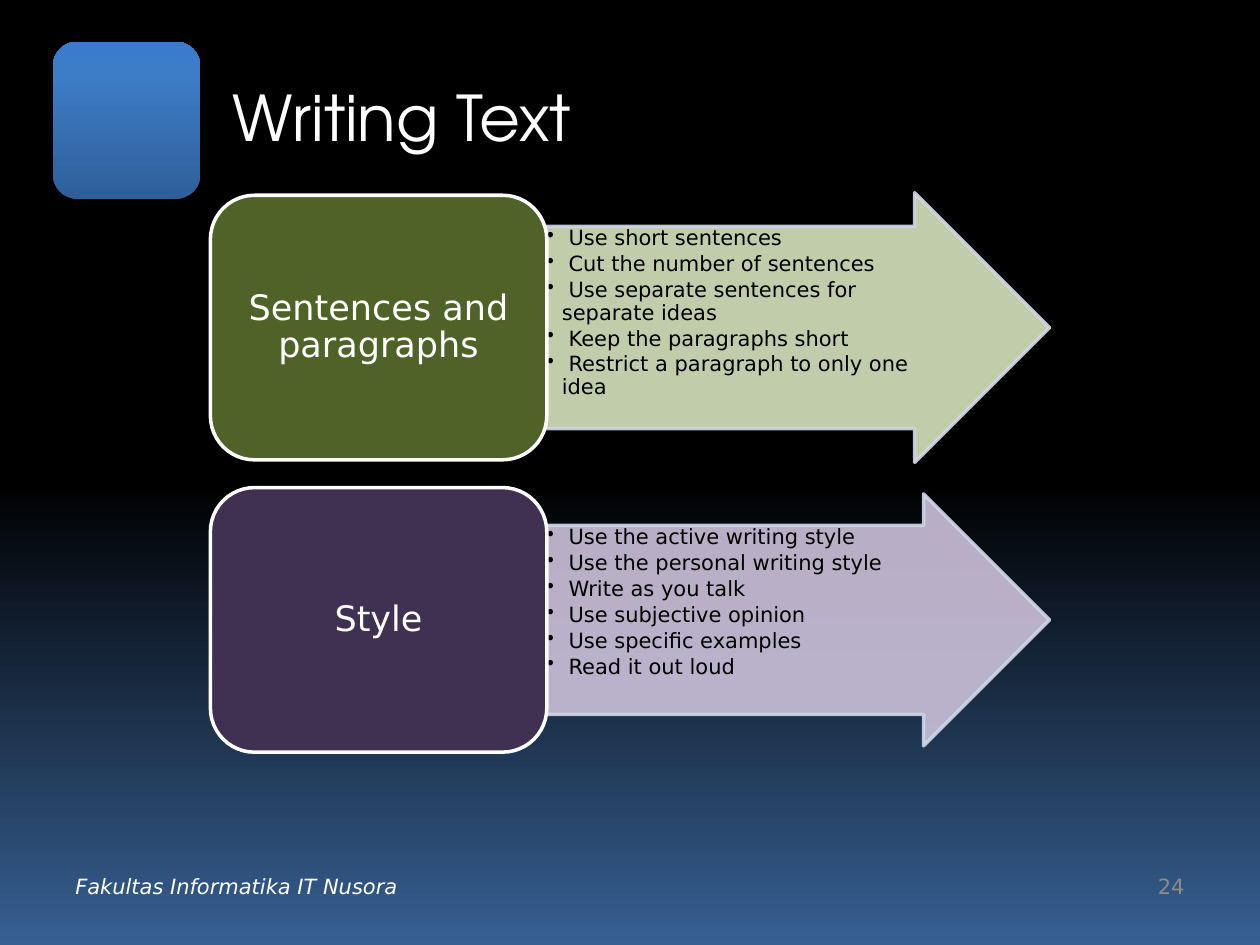
import copy
import pptx
import pptx.dml.color
import pptx.enum.shapes
import pptx.enum.text
import pptx.oxml
import pptx.oxml.ns
import pptx.util
import lxml.etree

Inches = pptx.util.Inches
Pt = pptx.util.Pt
Shape = pptx.enum.shapes.MSO_SHAPE
Align = pptx.enum.text.PP_ALIGN
Anchor = pptx.enum.text.MSO_ANCHOR
qn = pptx.oxml.ns.qn


def paint(color, code):
    color.rgb = pptx.dml.color.RGBColor.from_string(code)


def write(para, text, size, code, face="DejaVu Sans"):
    para.text = text
    para.font.size = Pt(size)
    para.font.name = face
    paint(para.font.color, code)


deck = pptx.Presentation()
deck.slide_width = Inches(10)
deck.slide_height = Inches(7.5)
slide = deck.slides.add_slide(deck.slide_layouts[6])
shapes = slide.shapes

square = shapes.add_shape(
    Shape.ROUNDED_RECTANGLE, Inches(0.42), Inches(0.33), Inches(1.17), Inches(1.25))
square.shadow.inherit = False
square.line.fill.background()

grads = [
    (slide.background.fill, 270, [(0.51, "000000"), (1, "376092")]),
    (square.fill, 90, [(0, "2F5F99"), (0.8, "3D7CC7"), (1, "3A7CCB")]),
]
for fill, angle, stops in grads:
    fill.gradient()
    fill.gradient_angle = angle
    if len(stops) == 3:
        last = square._element.spPr.findall(".//" + qn("a:gs"))[-1]
        last.addnext(copy.deepcopy(last))
    for stop, (place, code) in zip(fill.gradient_stops, stops):
        stop.position = place
        paint(stop.color, code)

labels = [
    ("Writing Text", 1.75, 0.3, 7.75, 1.25, 36, "FFFFFF", "TeX Gyre Adventor", Align.LEFT, False),
    ("Fakultas Informatika IT Nusora", 0.5, 6.83, 3.17, 0.4, 12, "FFFFFF", "DejaVu Sans", Align.LEFT, True),
    ("24", 7.17, 6.83, 2.33, 0.4, 12, "8C8C8C", "DejaVu Sans", Align.RIGHT, False),
]
for text, left, top, width, height, size, code, face, align, slant in labels:
    box = shapes.add_textbox(Inches(left), Inches(top), Inches(width), Inches(height))
    frame = box.text_frame
    frame.word_wrap = True
    frame.vertical_anchor = Anchor.MIDDLE
    para = frame.paragraphs[0]
    write(para, text, size, code, face)
    para.alignment = align
    para.font.italic = slant

topics = [
    ("Sentences and paragraphs", "4F6228", "D7E4BD", 1.55, 2.14, [
        "Use short sentences",
        "Cut the number of sentences",
        "Use separate sentences for separate ideas",
        "Keep the paragraphs short",
        "Restrict a paragraph to only one idea",
    ]),
    ("Style", "403152", "CCC1DA", 3.87, 2, [
        "Use the active writing style",
        "Use the personal writing style",
        "Write as you talk",
        "Use subjective opinion",
        "Use specific examples",
        "Read it out loud",
    ]),
]
tall = 2.1
for name, dark, light, top, height, points in topics:
    arrow = shapes.add_shape(
        Shape.RIGHT_ARROW, Inches(4.33), Inches(top + (tall - height) / 2),
        Inches(4), Inches(height))
    arrow.adjustments[0] = 0.75
    arrow.adjustments[1] = 0.5
    card = shapes.add_shape(
        Shape.ROUNDED_RECTANGLE, Inches(1.67), Inches(top), Inches(2.67), Inches(tall))

    for shape, code, edge in [(arrow, light, "D0D8E8"), (card, dark, "FFFFFF")]:
        shape.shadow.inherit = False
        shape.fill.solid()
        paint(shape.fill.fore_color, code)
        paint(shape.line.color, edge)
        shape.line.width = Pt(2)
        shape.text_frame.word_wrap = True
    for tint in arrow._element.spPr.iter(qn("a:srgbClr")):
        lxml.etree.SubElement(tint, qn("a:alpha")).set("val", "90000")

    frame = card.text_frame
    frame.vertical_anchor = Anchor.MIDDLE
    frame.margin_left = frame.margin_right = Inches(0.08)
    frame.margin_top = frame.margin_bottom = Inches(0.04)
    para = frame.paragraphs[0]
    write(para, name, 20, "FFFFFF")
    para.alignment = Align.CENTER
    para.line_spacing = 0.9

    frame = arrow.text_frame
    frame.vertical_anchor = Anchor.TOP
    frame.margin_left = frame.margin_right = Inches(0.01)
    frame.margin_top = frame.margin_bottom = Inches(0.01)
    for rank, point in enumerate(points):
        para = frame.add_paragraph() if rank else frame.paragraphs[0]
        write(para, " " + point, 12, "000000")
        para.alignment = Align.LEFT
        para.line_spacing = 0.9
        para.space_after = Pt(1.8)
        props = para._p.get_or_add_pPr()
        props.set("marL", str(Inches(0.12)))
        props.set("indent", str(Inches(-0.12)))
        mark = pptx.oxml.parse_xml(
            '<a:buChar xmlns:a="http://schemas.openxmlformats.org/drawingml/2006/main" char="•"/>')
        props.find(qn("a:spcAft")).addnext(mark)

deck.save("out.pptx")
